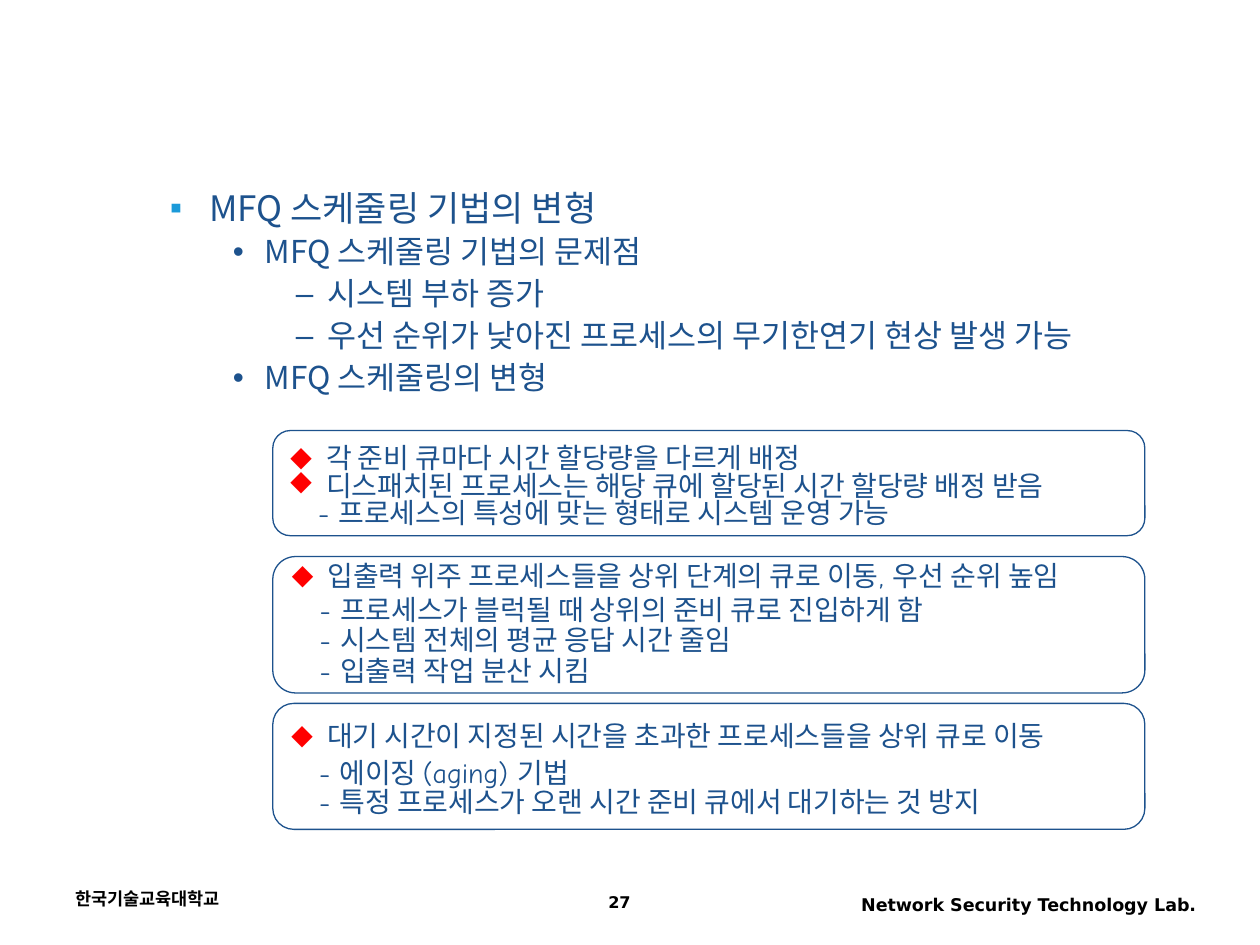
from lxml.etree import SubElement
from pptx import Presentation
from pptx.dml.color import RGBColor
from pptx.enum.shapes import MSO_SHAPE as Form
from pptx.enum.text import MSO_ANCHOR as Anchor, PP_ALIGN as Align
from pptx.oxml.ns import qn
from pptx.util import Cm, Pt

NAVY = RGBColor(0x1D, 0x52, 0x8D)
SKY = RGBColor(0x1B, 0x9A, 0xD9)
RED = RGBColor(0xFF, 0x00, 0x00)
BLACK = RGBColor(0x00, 0x00, 0x00)
SANS, HAND, HANGUL = "DejaVu Sans", "Comic Neue", "Noto Sans CJK KR"

LEVELS = {
    1: dict(size=20, left=2.06, hang=0.79, mark="▪", tint=SKY, before=5),
    2: dict(size=18, left=3.18, hang=0.64, mark="•", tint=NAVY, before=4.5),
    3: dict(size=18, left=4.45, hang=0.64, mark="–", tint=NAVY, before=4.5),
}
TOPICS = [
    (1, "MFQ 스케줄링 기법의 변형"),
    (2, "MFQ 스케줄링 기법의 문제점"),
    (3, "시스템 부하 증가"),
    (3, "우선 순위가 낮아진 프로세스의 무기한연기 현상 발생 가능"),
    (2, "MFQ 스케줄링의 변형"),
]
HEAD = dict(left=0.72, hang=0.72, mark="◆", tint=RED, face=SANS)
ITEM = dict(left=0.56)
BOXES = [
    (8.68, 2.12, [
        (HEAD, 1, "각 준비 큐마다 시간 할당량을 다르게 배정"),
        (HEAD, 0.2, "디스패치된 프로세스는 해당 큐에 할당된 시간 할당량 배정 받음"),
        (ITEM, 0.3, "- 프로세스의 특성에 맞는 형태로 시스템 운영 가능"),
    ]),
    (11.22, 2.75, [
        (HEAD, 0.8, "입출력 위주 프로세스들을 상위 단계의 큐로 이동, 우선 순위 높임"),
        (ITEM, 0.4, "- 프로세스가 블럭될 때 상위의 준비 큐로 진입하게 함"),
        (ITEM, 0.4, "- 시스템 전체의 평균 응답 시간 줄임"),
        (ITEM, 0.4, "- 입출력 작업 분산 시킴"),
    ]),
    (14.18, 2.54, [
        (HEAD, 1, "대기 시간이 지정된 시간을 초과한 프로세스들을 상위 큐로 이동"),
        (ITEM, 0.5, "- 에이징 (aging) 기법"),
        (ITEM, 0.3, "- 특정 프로세스가 오랜 시간 준비 큐에서 대기하는 것 방지"),
    ]),
]
NOTES = [
    (1.27, 17.78, 5.92, 0.84, "한국기술교육대학교", 10, Align.LEFT, 1),
    (16.31, 17.89, 8.05, 0.81, "Network Security Technology Lab.", 10, Align.RIGHT, 1),
    (9.53, 17.91, 5.92, 0.71, "27", 9.2, Align.CENTER, 0.9),
]


def bullet(para, left, hang, mark, tint, face):
    """Set the indent of a paragraph and its coloured bullet, if any."""
    props = para._p.get_or_add_pPr()
    props.set("marL", str(Cm(left)))
    props.set("indent", str(-Cm(hang)))
    if mark:
        color = SubElement(props, qn("a:buClr"))
        SubElement(color, qn("a:srgbClr"), val=str(tint))
        if face:
            SubElement(props, qn("a:buFont"), typeface=face)
        SubElement(props, qn("a:buChar"), char=mark)
    else:
        SubElement(props, qn("a:buNone"))


def write(frame, text, size=16, font=HAND, color=NAVY, bold=False,
          align=Align.LEFT, line=1, before=0, left=0, hang=0, mark=None,
          tint=None, face=None, level=0):
    """Add one formatted paragraph to a text frame."""
    para = frame.paragraphs[0]
    if para.runs:
        para = frame.add_paragraph()
    para.level, para.alignment = level, align
    para.line_spacing, para.space_before = float(line), Pt(before)
    bullet(para, left, hang, mark, tint, face)
    run = para.add_run()
    run.text = text
    run.font.name, run.font.size, run.font.bold = font, Pt(size), bold
    run.font.color.rgb = color
    SubElement(run._r.get_or_add_rPr(), qn("a:ea"), typeface=HANGUL)


def outline(slide):
    """Fill the body placeholder with the nested topics."""
    body = slide.placeholders[1]
    body.left, body.top = Cm(1.9), Cm(3.72)
    body.width, body.height = Cm(21.59), Cm(4.65)
    for level, text in TOPICS:
        write(body.text_frame, text, font=HANGUL, line=0.9,
              level=level - 1, **LEVELS[level])


def box(slide, top, high, rows):
    """Draw a rounded box that holds a list of rows."""
    shape = slide.shapes.add_shape(
        Form.FLOWCHART_ALTERNATE_PROCESS, Cm(5.5), Cm(top), Cm(17.58), Cm(high))
    shape.shadow.inherit = False
    shape.fill.background()
    shape.line.color.rgb, shape.line.width = NAVY, Pt(0.75)
    frame = shape.text_frame
    frame.word_wrap, frame.vertical_anchor = True, Anchor.MIDDLE
    for style, line, text in rows:
        write(frame, text, line=line, before=10, **style)


def note(slide, left, top, wide, high, text, size, align, line):
    """Place a bold footer text."""
    frame = slide.shapes.add_textbox(Cm(left), Cm(top), Cm(wide), Cm(high)).text_frame
    frame.word_wrap = True
    write(frame, text, size=size, font=SANS, color=BLACK, bold=True,
          align=align, line=line)


def main():
    """Build the slide and save it."""
    deck = Presentation()
    deck.slide_width, deck.slide_height = Cm(25.4), Cm(19.05)
    slide = deck.slides.add_slide(deck.slide_layouts[1])
    title = slide.shapes.title._element
    title.getparent().remove(title)
    for row in NOTES:
        note(slide, *row)
    outline(slide)
    for row in BOXES:
        box(slide, *row)
    deck.save("out.pptx")


if __name__ == "__main__":
    main()
